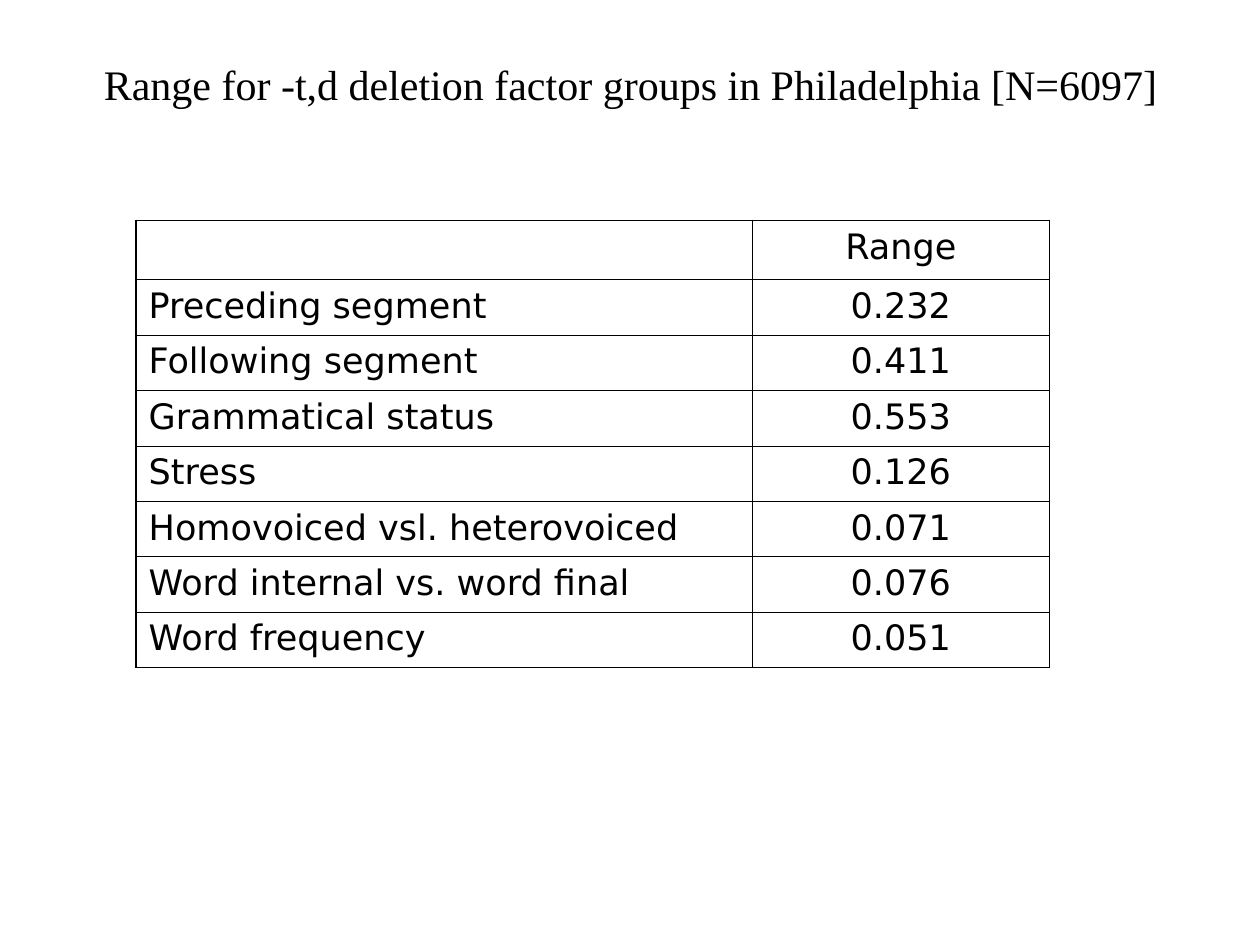
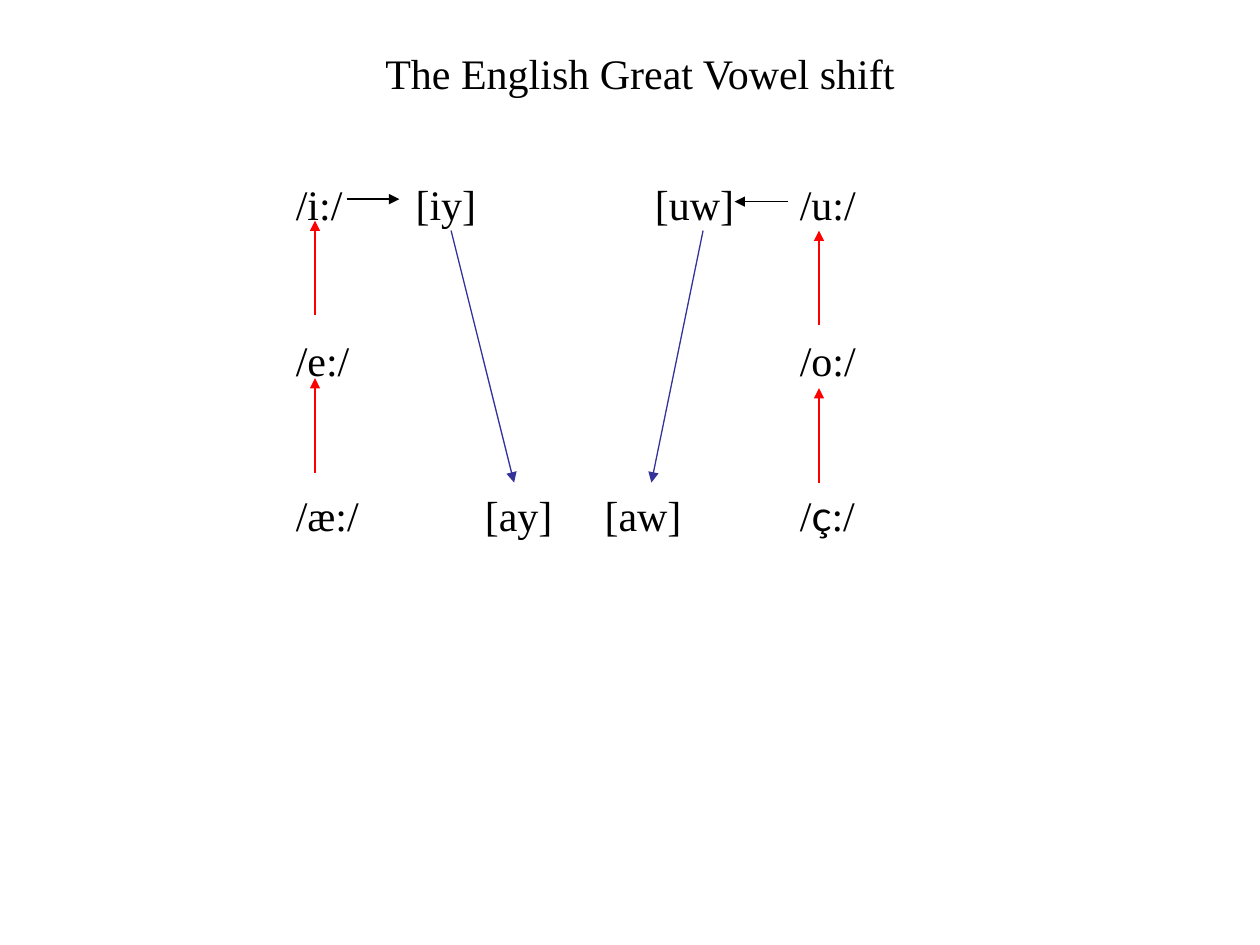
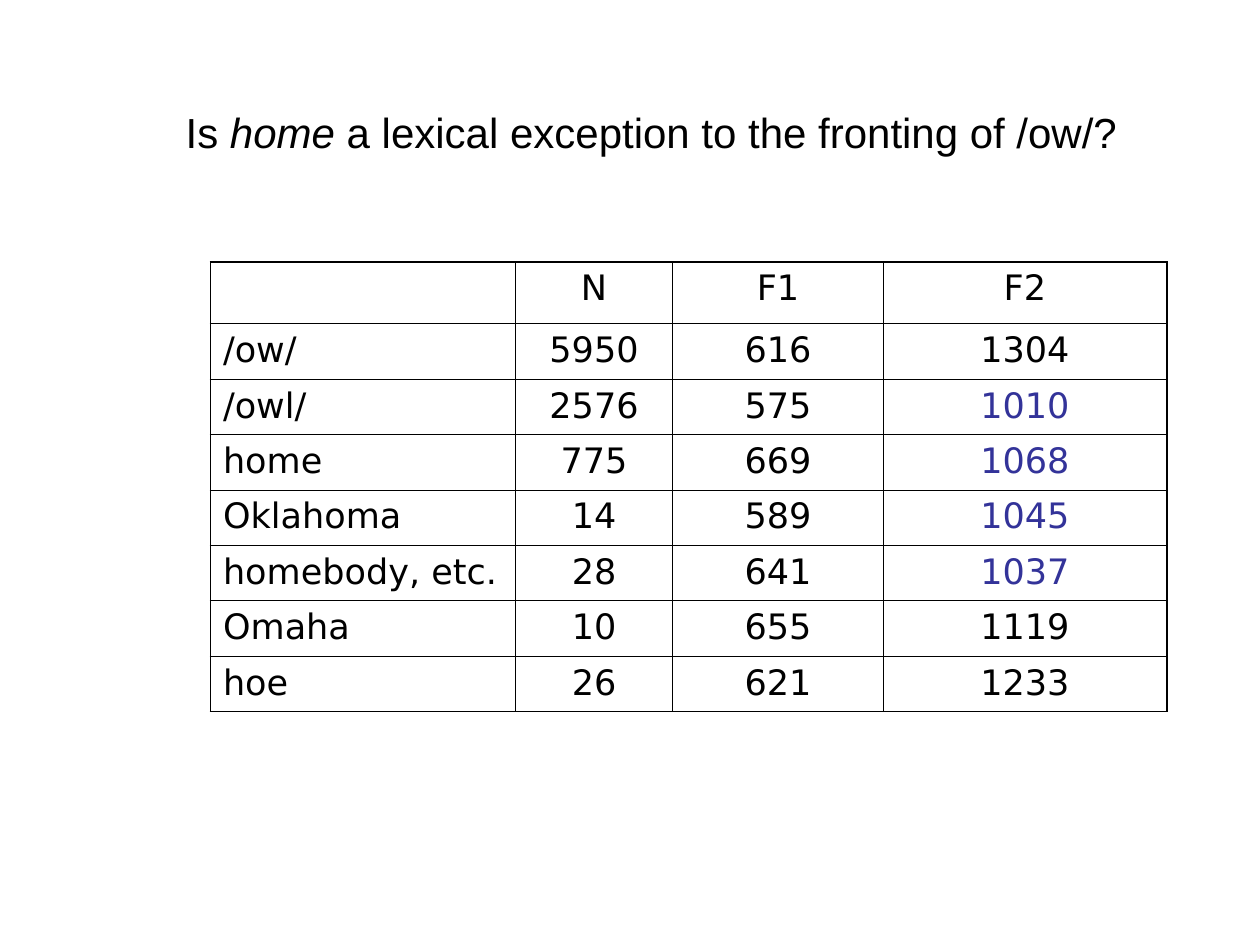
from lxml.etree import SubElement
from pptx import Presentation
from pptx.dml.color import RGBColor
from pptx.enum.shapes import MSO_CONNECTOR
from pptx.enum.text import MSO_ANCHOR, PP_ALIGN
from pptx.oxml.ns import qn
from pptx.util import Inches, Pt

BLACK = RGBColor(0x00, 0x00, 0x00)
BLUE = RGBColor(0x33, 0x33, 0x99)
RED = RGBColor(0xFF, 0x00, 0x00)
SERIF, SANS, TABLE_FONT, PHONETIC = "Times New Roman", "Arial", "DejaVu Sans", "Lato"
TEXT_SIZE, TABLE_SIZE = 24, 20
INNER_LINE, OUTER_LINE = 0.45, 1.08
ROW_HEIGHT = 0.44

RANGES = [
    ("", "Range"),
    ("Preceding segment", "0.232"),
    ("Following segment", "0.411"),
    ("Grammatical status", "0.553"),
    ("Stress", "0.126"),
    ("Homovoiced vsl. heterovoiced", "0.071"),
    ("Word internal vs. word final", "0.076"),
    ("Word frequency", "0.051"),
]
FORMANTS = [
    ("", "N", "F1", "F2"),
    ("/ow/", "5950", "616", "1304"),
    ("/owl/", "2576", "575", "1010"),
    ("home", "775", "669", "1068"),
    ("Oklahoma", "14", "589", "1045"),
    ("homebody, etc.", "28", "641", "1037"),
    ("Omaha", "10", "655", "1119"),
    ("hoe", "26", "621", "1233"),
]
BACKED_F2 = {"1010", "1068", "1045", "1037"}

# Each row of vowels: tab stops in inches, then the text at each stop
VOWEL_ROWS = [
    [(1, "/i:/"), (1.95, "[iy]"), (3.85, "[uw]"), (5, "/u:/")],
    [(1, "/e:/"), (5, "/o:/")],
    [(1, "/æ:/"), (2.5, "[ay]"), (3.45, "[aw]"), (5, "/ç:/")],
]


def style_run(r, font, size, color=BLACK, italic=False):
    r.font.name = font
    r.font.size = Pt(size)
    r.font.color.rgb = color
    r.font.italic = italic


def add_text_box(slide, left, top, width, height):
    sp = slide.shapes.add_textbox(Inches(left), Inches(top), Inches(width), Inches(height))
    tf = sp.text_frame
    tf.word_wrap = True
    return tf


def add_title(slide, box, parts, font=SERIF):
    """Centred title; parts are (text, italic) pairs."""
    tf = add_text_box(slide, *box)
    tf.vertical_anchor = MSO_ANCHOR.MIDDLE
    p = tf.paragraphs[0]
    p.alignment = PP_ALIGN.CENTER
    for text, italic in parts:
        r = p.add_run()
        r.text = text
        style_run(r, font, TEXT_SIZE, italic=italic)


def set_border(cell, side, width):
    ln = SubElement(cell._tc.get_or_add_tcPr(), qn(f"a:ln{side}"), w=str(Pt(width)))
    fill = SubElement(ln, qn("a:solidFill"))
    SubElement(fill, qn("a:srgbClr"), val=str(BLACK))


def add_grid(slide, left, top, col_widths, header_height, rows, blue_values=()):
    """Ruled table with left-aligned labels and centred values."""
    heights = [header_height] + [ROW_HEIGHT] * (len(rows) - 1)
    table = slide.shapes.add_table(
        len(rows), len(col_widths), Inches(left), Inches(top),
        Inches(sum(col_widths)), Inches(sum(heights))).table
    table.first_row = table.horz_banding = False
    for column, width in zip(table.columns, col_widths):
        column.width = Inches(width)
    for row, height in zip(table.rows, heights):
        row.height = Inches(height)

    last_row, last_col = len(rows) - 1, len(col_widths) - 1
    for i, values in enumerate(rows):
        for j, value in enumerate(values):
            cell = table.cell(i, j)
            edges = {"L": j == 0, "R": j == last_col, "T": i == 0, "B": i == last_row}
            for side, outer in edges.items():
                set_border(cell, side, OUTER_LINE if outer else INNER_LINE)
            cell.fill.background()
            p = cell.text_frame.paragraphs[0]
            p.text = value
            p.alignment = PP_ALIGN.CENTER if j else PP_ALIGN.LEFT
            for r in p.runs:
                style_run(r, TABLE_FONT, TABLE_SIZE, BLUE if value in blue_values else BLACK)


def add_arrow(slide, start, end, color):
    cx = slide.shapes.add_connector(
        MSO_CONNECTOR.STRAIGHT, *(Inches(v) for v in (*start, *end)))
    cx.line.color.rgb = color
    cx.line.width = Pt(0.75)
    SubElement(cx.line._get_or_add_ln(), qn("a:tailEnd"), type="triangle")
    SubElement(cx._element.spPr, qn("a:effectLst"))


def add_vowels(slide):
    tf = add_text_box(slide, 1.25, 1.37, 7.17, 2.94)
    for i, row in enumerate(VOWEL_ROWS):
        p = tf.paragraphs[0] if i == 0 else tf.add_paragraph()
        if i:
            p.space_before = Pt(60)
        tabs = SubElement(p._p.get_or_add_pPr(), qn("a:tabLst"))
        for stop, _ in row:
            SubElement(tabs, qn("a:tab"), pos=str(Inches(stop)), algn="l")
        line = "".join("\t" + vowel for _, vowel in row)
        before, cedilla, after = line.partition("ç")
        for text, font in ((before, SERIF), (cedilla, PHONETIC), (after, SERIF)):
            if text:
                r = p.add_run()
                r.text = text
                style_run(r, font, TEXT_SIZE)


def main():
    prs = Presentation()
    prs.slide_width, prs.slide_height = Inches(10), Inches(7.5)
    blank = prs.slide_layouts[6]

    # Factor group ranges
    s = prs.slides.add_slide(blank)
    add_title(s, (0.42, 0.25, 9.17, 0.83),
              [("Range for -t,d deletion factor groups in Philadelphia [N=6097]", False)])
    add_grid(s, 1.08, 1.75, [4.89, 2.36], 0.47, RANGES)

    # Great Vowel Shift: falling diphthongs, raised vowels, diphthongised high vowels
    s = prs.slides.add_slide(blank)
    add_vowels(s)
    add_arrow(s, (3.58, 1.83), (4.08, 3.83), BLUE)
    add_arrow(s, (5.58, 1.83), (5.17, 3.83), BLUE)
    for x, foot in ((2.5, 3.75), (6.5, 3.83)):
        for y in (foot, foot - 1.25):
            add_arrow(s, (x, y), (x, y - 0.75), RED)
    add_arrow(s, (2.75, 1.58), (3.17, 1.58), BLACK)
    add_arrow(s, (6.25, 1.6), (5.83, 1.6), BLACK)
    add_title(s, (0.83, 0.33, 8.5, 0.5), [("The English Great Vowel shift", False)])

    # Formants of home and related words
    s = prs.slides.add_slide(blank)
    add_title(s, (0.92, 0.67, 8.5, 0.75),
              [("Is ", False), ("home ", True),
               ("a lexical exception to the fronting of /ow/?", False)], SANS)
    add_grid(s, 1.67, 2.08, [2.42, 1.25, 1.67, 2.25], 0.49, FORMANTS, BACKED_F2)

    prs.save("out.pptx")


if __name__ == "__main__":
    main()
